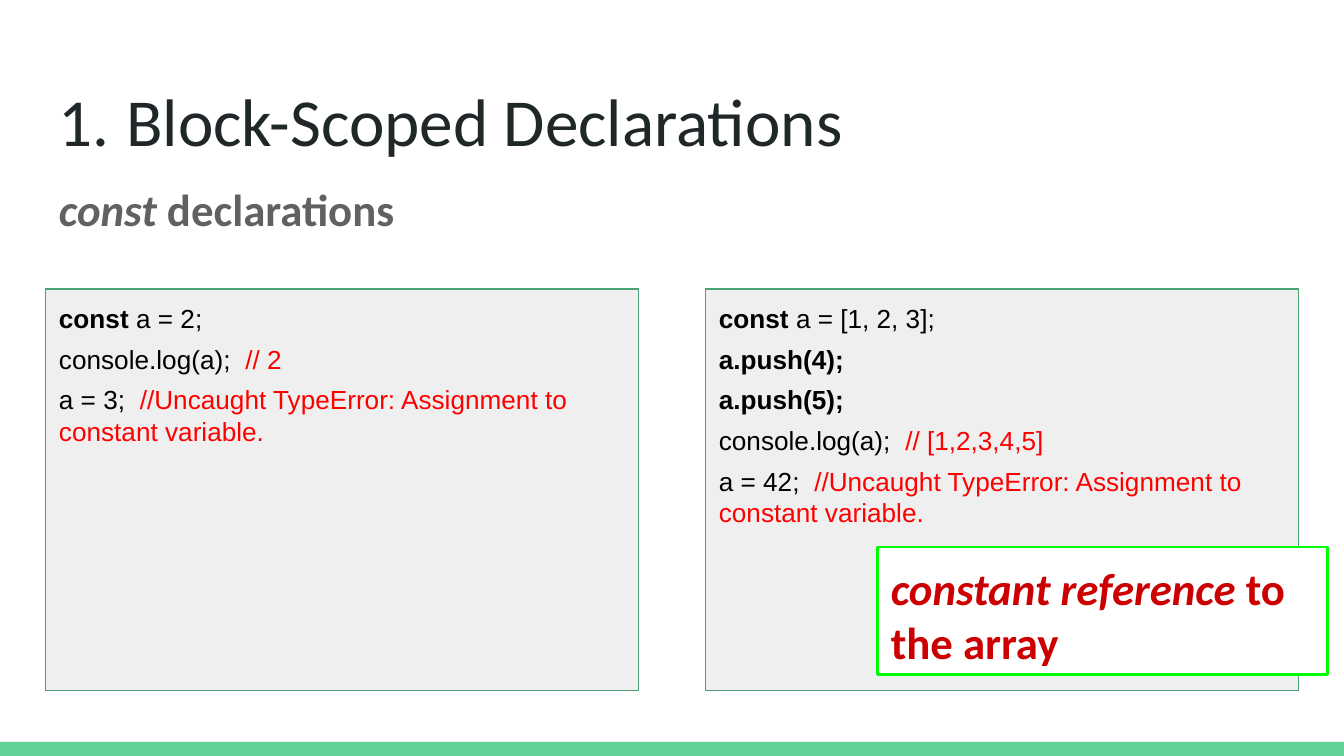
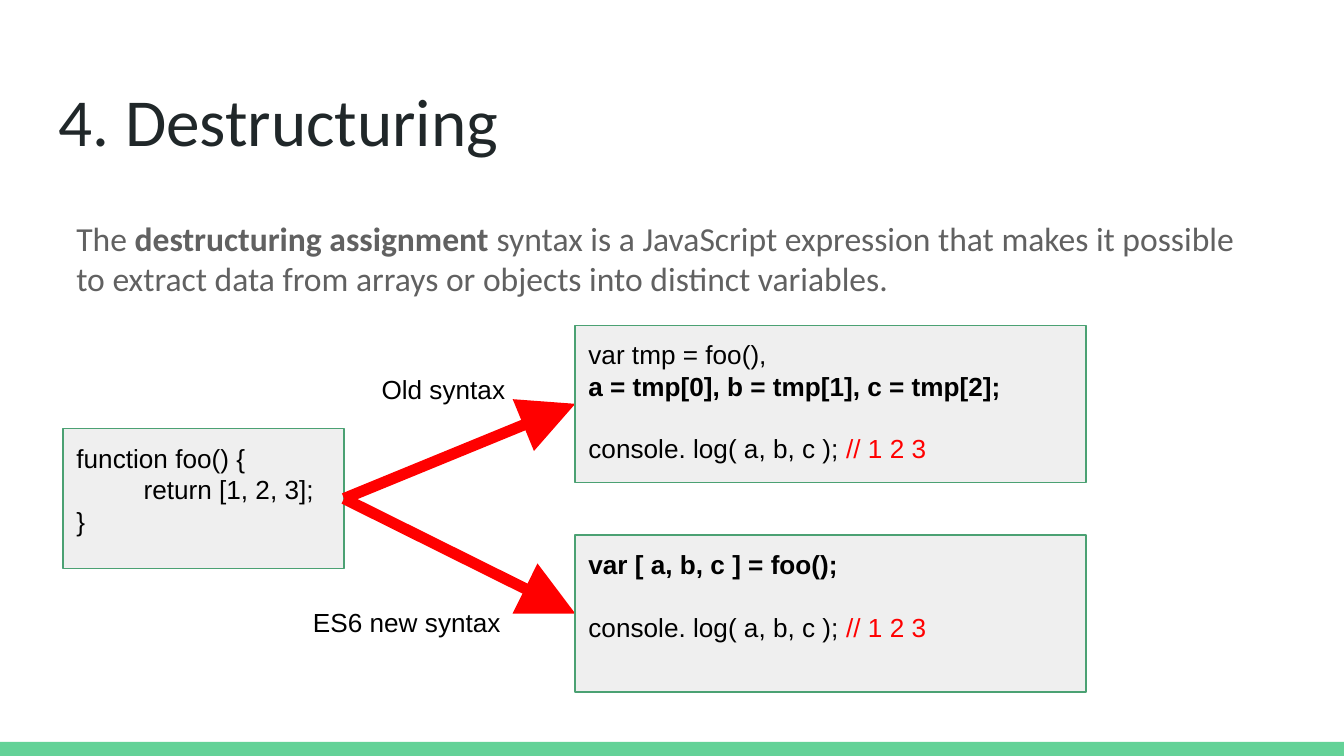
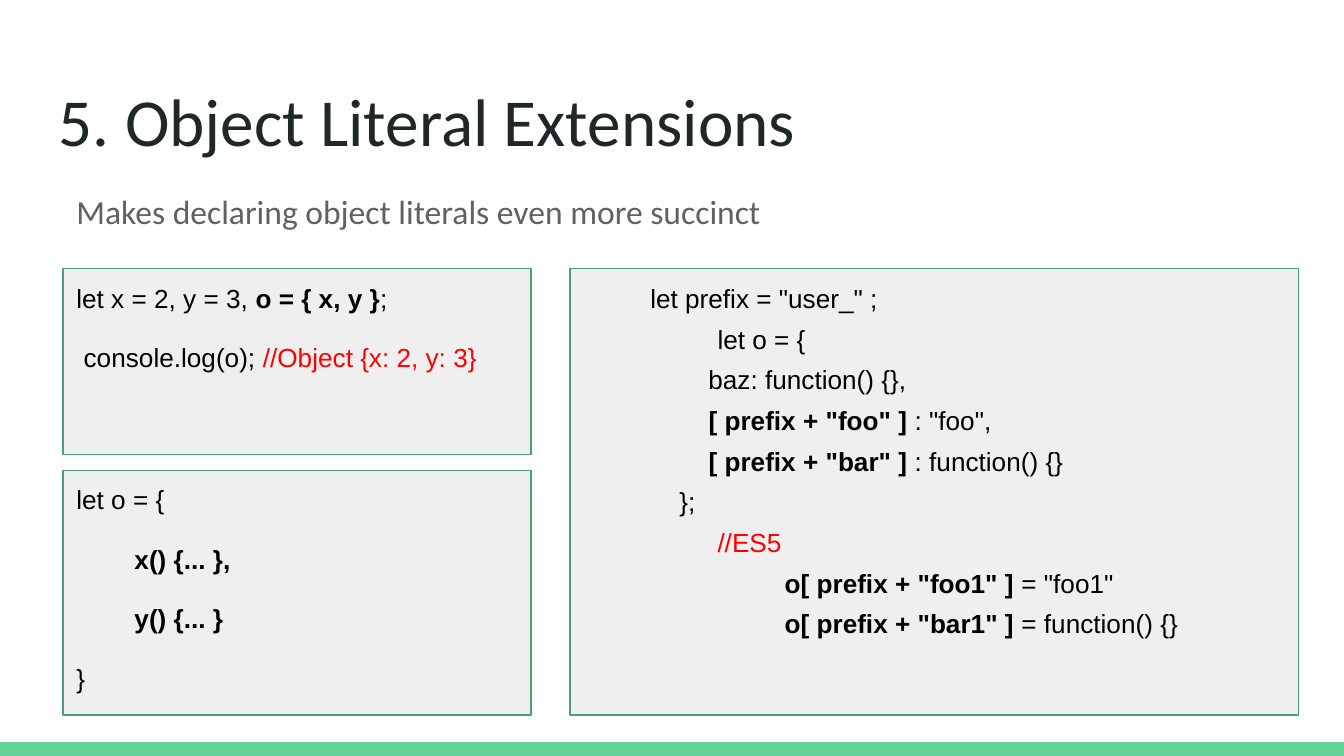
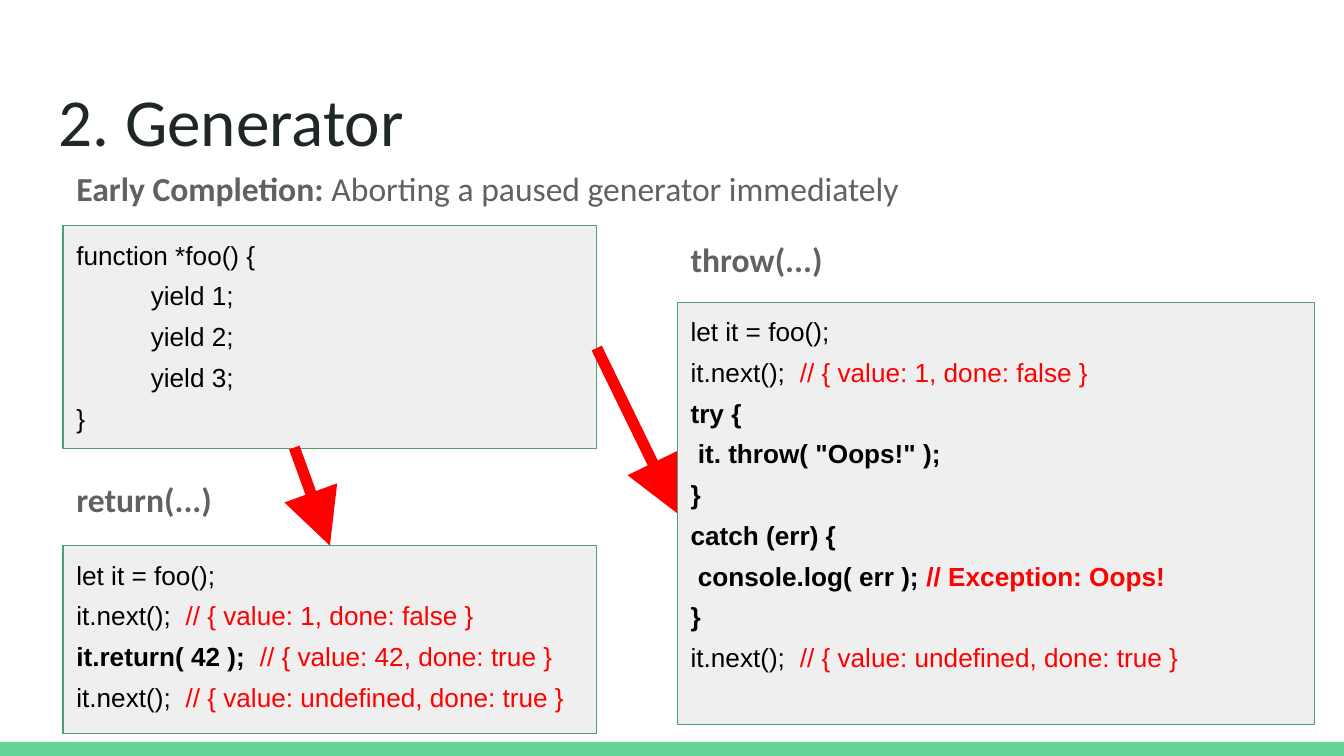
from collections import namedtuple

import pptx
import pptx.dml.color
import pptx.enum.shapes
import pptx.enum.text
import pptx.oxml
import pptx.oxml.ns
import pptx.util

Inches = pptx.util.Inches
RGBColor = pptx.dml.color.RGBColor
RECTANGLE = pptx.enum.shapes.MSO_SHAPE.RECTANGLE
STRAIGHT = pptx.enum.shapes.MSO_CONNECTOR.STRAIGHT

BLACK = RGBColor(0x00, 0x00, 0x00)
WHITE = RGBColor(0xFF, 0xFF, 0xFF)
RED = RGBColor(0xFF, 0x00, 0x00)
DARK_RED = RGBColor(0xCC, 0x00, 0x00)
LIME = RGBColor(0x00, 0xFF, 0x00)
MINT = RGBColor(0x63, 0xD2, 0x97)
GREEN = RGBColor(0x4B, 0xA1, 0x73)
PALE_GREY = RGBColor(0xEF, 0xEF, 0xEF)
GREY = RGBColor(0x61, 0x61, 0x61)
INK = RGBColor(0x20, 0x27, 0x29)

CODE_FONT = "Arial"
PROSE_FONT = "Calibri"
TOP, LEFT, BOTTOM, RIGHT = range(4)
BLANK_LINE = 16.8  # height of one code line, in points

Box = namedtuple("Box", "left top width height")
Span = namedtuple("Span", "text bold italic color", defaults=(False, False, None))
Line = namedtuple("Line", "spans left first before")

PAGE = Box(0, 0, 10, 10 * 9 / 16)
BAND = Box(0, 5.52, 10, 0.11)


# Text building blocks
def bold(text, **style):
    return Span(text, bold=True, **style)


def note(text, **style):
    return Span(text, color=RED, **style)


def line(*spans, left=0, first=0, before=0):
    spans = [Span(span) if isinstance(span, str) else span for span in spans]
    return Line(spans, left, first, before)


def lengths(box):
    return [Inches(value) for value in box]


def number_paragraph(properties, color):
    """Turn a paragraph into an automatically numbered one."""
    namespace = pptx.oxml.ns.nsdecls("a")
    for markup in (
        f'<a:buClr {namespace}><a:srgbClr val="{color}"/></a:buClr>',
        f'<a:buFont {namespace} typeface="{PROSE_FONT}"/>',
        f'<a:buAutoNum {namespace} type="arabicPeriod"/>',
    ):
        properties.append(pptx.oxml.parse_xml(markup))


def write_text(shape, lines, font=PROSE_FONT, size=18, color=GREY, after=0, numbered=False):
    frame = shape.text_frame
    frame.word_wrap = True
    frame.vertical_anchor = pptx.enum.text.MSO_ANCHOR.TOP
    frame.margin_left = frame.margin_right = Inches(0.1)
    frame.margin_top = frame.margin_bottom = Inches(0.1)
    for index, content in enumerate(lines):
        para = frame.add_paragraph() if index else frame.paragraphs[0]
        para.alignment = pptx.enum.text.PP_ALIGN.LEFT
        para.space_before = pptx.util.Pt(content.before)
        para.space_after = pptx.util.Pt(after)
        properties = para._p.get_or_add_pPr()
        properties.set("marL", str(Inches(content.left)))
        properties.set("indent", str(Inches(content.first)))
        if numbered:
            number_paragraph(properties, color)
        for span in content.spans:
            run = para.add_run()
            run.text = span.text
            run.font.name = font
            run.font.size = pptx.util.Pt(size)
            run.font.bold = span.bold
            run.font.italic = span.italic
            run.font.color.rgb = span.color or color


# Parts of a slide
def add_label(page, box, *spans, **style):
    label = page.shapes.add_textbox(*lengths(box))
    write_text(label, [line(*spans)], **style)


def add_panel(page, box, fill, outline=None, weight=0.75):
    panel = page.shapes.add_shape(RECTANGLE, *lengths(box))
    panel.shadow.inherit = False
    panel.fill.solid()
    panel.fill.fore_color.rgb = fill
    if outline is None:
        panel.line.fill.background()
    else:
        panel.line.color.rgb = outline
        panel.line.width = pptx.util.Pt(weight)
    return panel


def add_code(page, box, *lines, after=5):
    panel = add_panel(page, box, PALE_GREY, GREEN)
    write_text(panel, lines, font=CODE_FONT, size=14, color=BLACK, after=after)
    return panel


def add_arrow(page, start, end, target, side, source=None):
    """Draw a red arrow that lies behind its target panel."""
    arrow = page.shapes.add_connector(STRAIGHT, *lengths(start + end))
    if source is not None:
        arrow.begin_connect(source, RIGHT)
    arrow.end_connect(target, side)
    arrow.line.color.rgb = RED
    arrow.line.width = pptx.util.Pt(6)
    namespace = pptx.oxml.ns.nsdecls("a")
    arrow.line._get_or_add_ln().append(pptx.oxml.parse_xml(
        f'<a:tailEnd {namespace} type="triangle" w="lg" len="lg"/>'))
    arrow.element.spPr.append(pptx.oxml.parse_xml(f"<a:effectLst {namespace}/>"))
    target.element.addprevious(arrow.element)


def start_page(deck, title, numbered=False):
    page = deck.slides.add_slide(deck.slide_layouts[6])
    page.background.fill.solid()
    page.background.fill.fore_color.rgb = WHITE
    add_panel(page, BAND, MINT)
    heading = page.shapes.add_textbox(*lengths(Box(0.34, 0.49, 9.32, 0.63)))
    hanging = 0.5 if numbered else 0
    write_text(heading, [line(title, left=hanging, first=-hanging)],
               size=36, color=INK, numbered=numbered)
    return page


# Slides
def build_declarations(deck, area):
    page = start_page(deck, "Block-Scoped Declarations", numbered=True)
    add_label(page, Box(area.left, 1.25, area.width, 0.77),
              bold("const ", italic=True), bold("declarations"), size=24)
    width = 4.41
    error = note("//Uncaught TypeError: Assignment to constant variable.")
    add_code(page, Box(area.left + area.width - width, area.top, width, area.height),
             line(bold("const "), "a = [1, 2, 3];"),
             line(bold("a.push(4);")),
             line(bold("a.push(5);")),
             line("console.log(a);  ", note("// [1,2,3,4,5]")),
             line("a = 42;  ", error))
    add_code(page, Box(area.left, area.top, width, area.height),
             line(bold("const "), "a = 2;"),
             line("console.log(a);  ", note("// 2")),
             line("a = 3;  ", error))
    callout = add_panel(page, Box(6.53, 4.07, 3.35, 0.95), WHITE, LIME, 1.5)
    write_text(callout, [line(bold("constant reference", italic=True), bold(" to the array"))],
               size=24, color=DARK_RED)


def build_destructuring(deck, area):
    page = start_page(deck, "4. Destructuring")
    add_label(page, Box(area.left, 1.52, 9.06, 0.9),
              "The ", bold("destructuring assignment"),
              " syntax is a JavaScript expression that makes it possible to extract data"
              " from arrays or objects into distinct variables.")
    source = add_code(page, Box(area.left, area.top + 0.77, 2.09, 1.04),
                      line("function foo() {"),
                      line("return [1, 2, 3];", first=0.5),
                      line("}"), after=0)
    result = line("console. log( a, b, c ); ", note("// 1 2 3"), before=BLANK_LINE)
    versions = [
        [line("var tmp = foo(),"), line(bold("a = tmp[0], b = tmp[1], c = tmp[2];"))],
        [line(bold("var [ a, b, c ] = foo();"))],
    ]
    left, height = area.left + 3.81, 1.17
    for index, code in enumerate(versions):
        top = area.top + index * (area.height - height)
        target = add_code(page, Box(left, top, 3.8, height), *code, result, after=0)
        add_arrow(page, (2.56, 3.71), (left, top + height / 2), target, LEFT, source)
    for text, box in (("Old syntax", Box(2.74, 2.68, 1.25, 0.46)),
                      ("ES6 new syntax", Box(2.23, 4.41, 1.81, 0.46))):
        add_label(page, box, text, font=CODE_FONT, size=14, color=BLACK)


def build_literals(deck, area):
    page = start_page(deck, "5. Object Literal Extensions")
    add_label(page, Box(area.left, 1.32, 9.06, 0.48),
              "Makes declaring object literals even more succinct")
    width, upper, lower, right = 3.48, 1.38, 1.82, 5.42
    add_code(page, Box(area.left, area.top, width, upper),
             line("let x = 2, y = 3, ", bold("o = { x, y }"), ";"),
             line(" console.log(o); ", note("//Object {x: 2, y: 3}")), after=15)
    add_code(page, Box(area.left, area.top + area.height - lower, width, lower),
             line("let o = {"),
             line(bold("        x() {... },")),
             line(bold("        y() {... }")),
             line("}"), after=15)
    add_code(page, Box(area.left + area.width - right, area.top, right, area.height),
             line('let prefix = "user_" ;', first=0.5),
             line("let o = {", first=1),
             line("        baz: function() {},", left=0.5),
             line("        ", bold('[ prefix + "foo" ]'), ' : "foo",', left=0.5),
             line("        ", bold('[ prefix + "bar" ]'), " : function() {}", left=0.5),
             line("    };", left=0.5),
             line(note("//ES5"), first=1),
             line(bold('o[ prefix + "foo1" ]'), ' = "foo1"', first=1.5),
             line(bold('o[ prefix + "bar1" ]'), " = function() {}", first=1.5))


def build_generator(deck, area):
    page = start_page(deck, "2. Generator")
    add_label(page, Box(area.left, 1.15, 9.32, 0.43),
              bold("Early Completion: "), "Aborting a paused generator immediately", after=9)
    width, right = 3.97, area.left + 4.57
    add_code(page, Box(area.left, area.top, width, 1.66),
             line("function *foo() {"),
             *[line(f" yield {number};", left=0.5) for number in (1, 2, 3)],
             line("}"))
    begin = line("let it = foo();")
    first_value = line("it.next();  ", note("// { value: 1, done: false }"))
    finished = line("it.next();  ", note("// { value: undefined, done: true }"))
    return_code = add_code(
        page, Box(area.left, 4.06, width, 1.4),
        begin, first_value,
        line(bold("it.return( 42 );  "), note("// { value: 42, done: true }")),
        finished)
    throw_code = add_code(
        page, Box(right, 2.25, 4.74, 3.14),
        begin, first_value,
        line(bold("try {")),
        line(bold(' it. throw( "Oops!" );')),
        line(bold("}")),
        line(bold("catch (err) {")),
        line(bold(" console.log( err ); "), note("// Exception: Oops!", bold=True)),
        line(bold("}")),
        finished)
    for text, left, top in (("return(...)", area.left, 3.46), ("throw(...)", right, area.top)):
        add_label(page, Box(left, top, 2.8, 0.48), bold(text), after=9)
    add_arrow(page, (2.19, 3.33), (2.46, 4.06), return_code, TOP)
    add_arrow(page, (4.44, 2.59), (5.04, 3.82), throw_code, LEFT)


def main():
    deck = pptx.Presentation()
    deck.slide_width = Inches(PAGE.width)
    deck.slide_height = Inches(PAGE.height)
    build_declarations(deck, Box(0.34, 2.15, 9.32, 2.99))
    build_destructuring(deck, Box(0.47, 2.42, 7.61, 2.73))
    build_literals(deck, Box(0.47, 2, 9.19, 3.32))
    build_generator(deck, Box(0.47, 1.68, 9.31, 3.78))
    deck.save("out.pptx")


if __name__ == "__main__":
    main()
